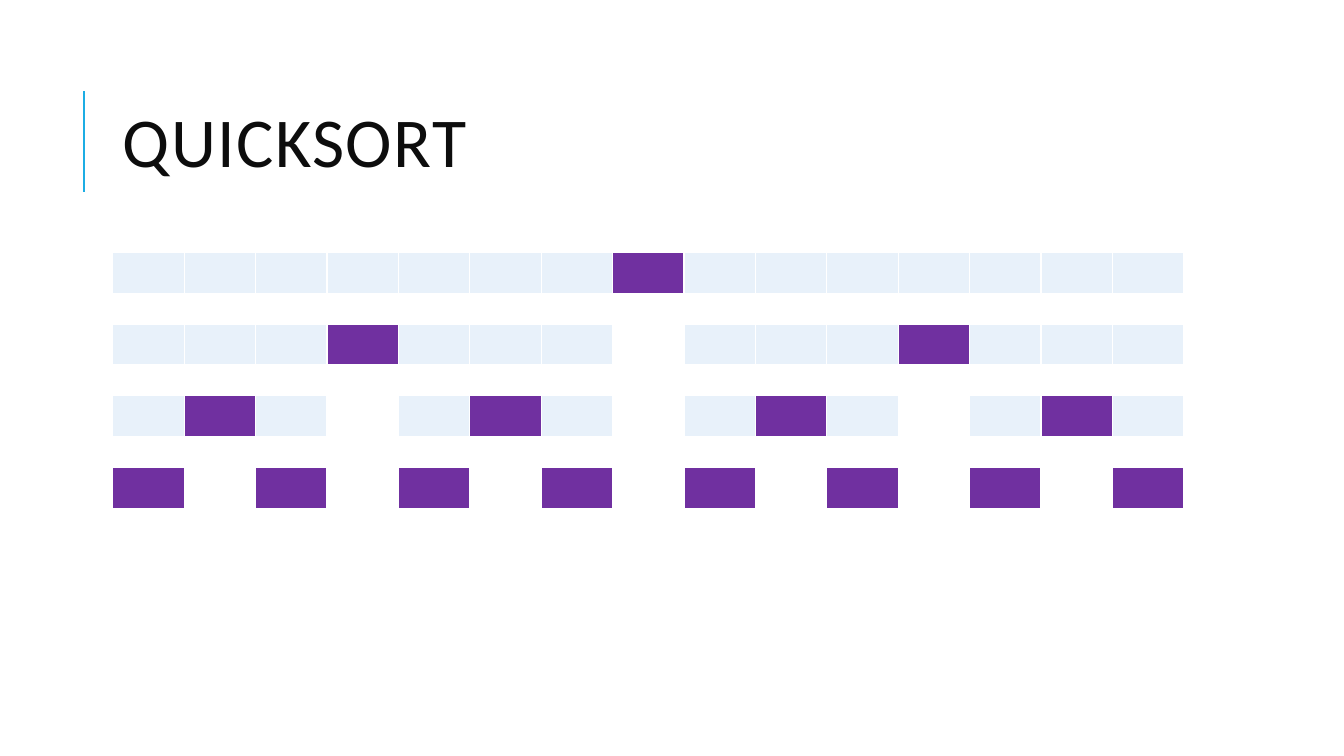
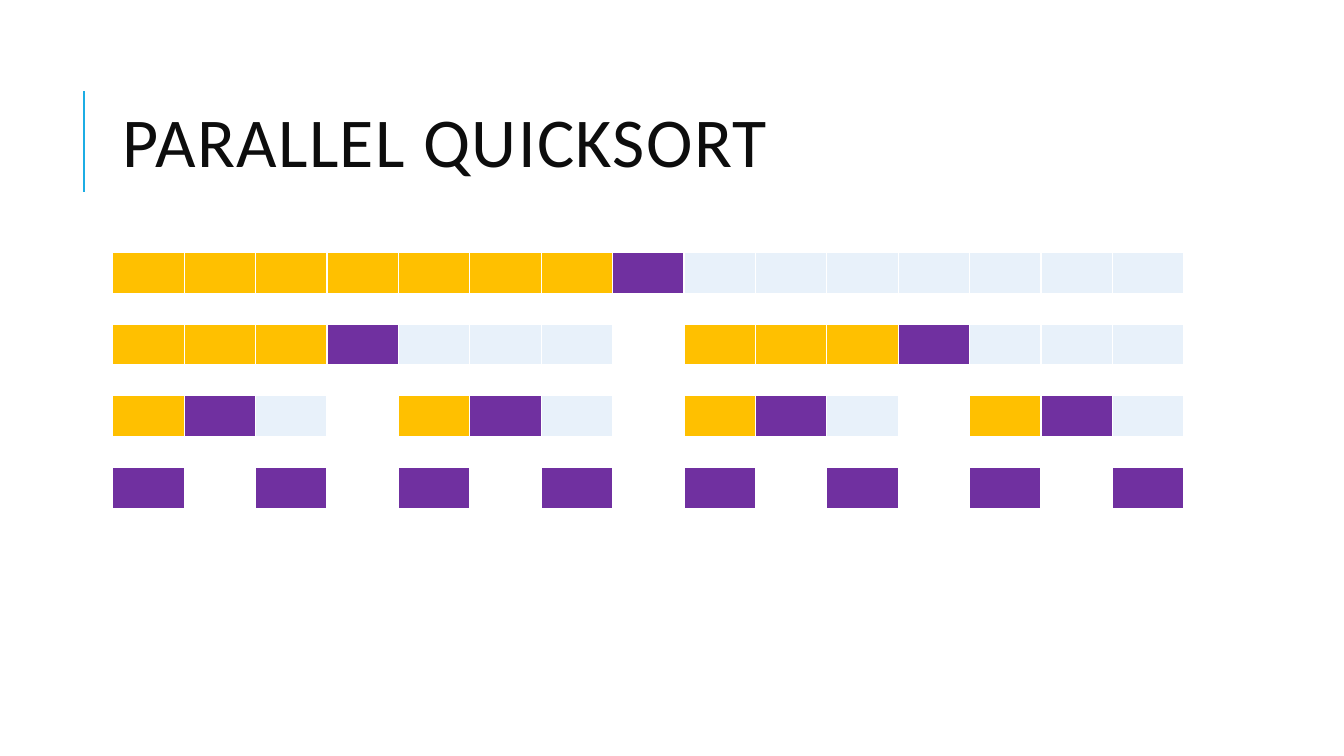
"""Build two slides that show how quicksort splits a list, level by level."""
from dataclasses import dataclass

from lxml.etree import SubElement
from pptx import Presentation
from pptx.dml.color import RGBColor
from pptx.enum.shapes import MSO_CONNECTOR
from pptx.enum.text import MSO_ANCHOR
from pptx.oxml.ns import qn
from pptx.util import Pt

LEVELS = 4
SLIDES = [
    {"title": "QUICKSORT", "left_half": "waiting"},
    {"title": "PARALLEL QUICKSORT", "left_half": "parallel"},
]


@dataclass(frozen=True)
class Theme:
    font: str = "Calibri"
    title_size: float = 50
    title_spacing: float = 1
    title_color: str = "0D0D0D"
    accent: str = "1CADE4"
    accent_width: float = 1.5
    background: str = "FFFFFF"
    border_width: float = 1
    waiting: str = "E8F1FA"
    parallel: str = "FFC000"
    pivot: str = "7030A0"


THEME = Theme()
PAGE_SIZE = (960, 540)
ACCENT_LINE = (60, 137, 60, 65)
TITLE_BOX = (80.64, 46, 765.36, 118)
GRID_LEFT, GRID_TOP = 80.64, 180.4
COLUMN_WIDTH, LEVEL_HEIGHT, GAP_HEIGHT = 51.02, 29.2, 21.95


def color(value):
    return RGBColor.from_string(value)


def add_accent_line(page):
    line = page.shapes.add_connector(MSO_CONNECTOR.STRAIGHT, *map(Pt, ACCENT_LINE))
    line.line.color.rgb = color(THEME.accent)
    line.line.width = Pt(THEME.accent_width)
    SubElement(line._element.spPr, qn("a:effectLst"))


def add_title(page, text):
    box = page.shapes.add_textbox(*map(Pt, TITLE_BOX))
    frame = box.text_frame
    frame.word_wrap = True
    frame.vertical_anchor = MSO_ANCHOR.MIDDLE
    para = frame.paragraphs[0]
    para.line_spacing = 0.8
    span = para.add_run()
    span.text = text
    span.font.name = THEME.font
    span.font.size = Pt(THEME.title_size)
    span.font.color.rgb = color(THEME.title_color)
    span._r.get_or_add_rPr().set("spc", str(int(THEME.title_spacing * 100)))


def cell_color(level, column, left_half):
    """Pick the fill from the place of a column within its partition."""
    partition = 2 ** (LEVELS - level)
    place = (column + 1) % partition
    middle = partition // 2
    if place == 0:
        return THEME.background
    if place == middle:
        return THEME.pivot
    return left_half if place < middle else THEME.waiting


def style_cell(cell, fill):
    cell.margin_top = cell.margin_bottom = 0
    properties = cell._tc.get_or_add_tcPr()
    for side in ("a:lnL", "a:lnR", "a:lnT", "a:lnB"):
        border = SubElement(properties, qn(side), w=str(Pt(THEME.border_width)))
        solid = SubElement(border, qn("a:solidFill"))
        SubElement(solid, qn("a:srgbClr"), val=THEME.background)
    cell.fill.solid()
    cell.fill.fore_color.rgb = color(fill)


def add_partition_table(page, left_half):
    columns, rows = 2 ** LEVELS - 1, 2 * LEVELS - 1
    width = columns * COLUMN_WIDTH
    height = LEVELS * LEVEL_HEIGHT + (LEVELS - 1) * GAP_HEIGHT
    frame = page.shapes.add_table(
        rows, columns, Pt(GRID_LEFT), Pt(GRID_TOP), Pt(width), Pt(height))
    table = frame.table
    table.first_row = table.horz_banding = False
    for column in table.columns:
        column.width = Pt(COLUMN_WIDTH)
    for index, row in enumerate(table.rows):
        level, is_gap = divmod(index, 2)
        row.height = Pt(GAP_HEIGHT if is_gap else LEVEL_HEIGHT)
        for column, cell in enumerate(row.cells):
            fill = THEME.background if is_gap else cell_color(level, column, left_half)
            style_cell(cell, fill)


def build():
    deck = Presentation()
    deck.slide_width, deck.slide_height = map(Pt, PAGE_SIZE)
    for content in SLIDES:
        page = deck.slides.add_slide(deck.slide_layouts[6])
        page.background.fill.solid()
        page.background.fill.fore_color.rgb = color(THEME.background)
        add_accent_line(page)
        add_title(page, content["title"])
        add_partition_table(page, getattr(THEME, content["left_half"]))
    deck.save("out.pptx")


build()
